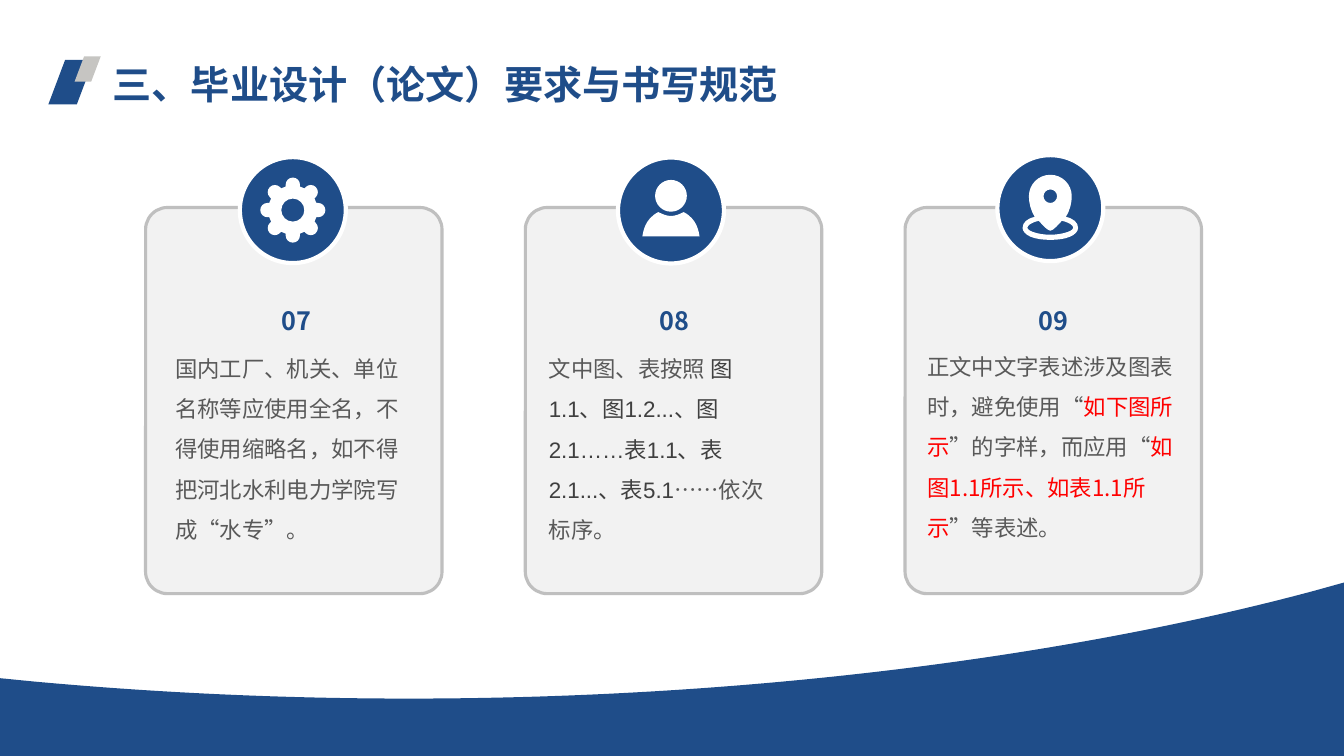
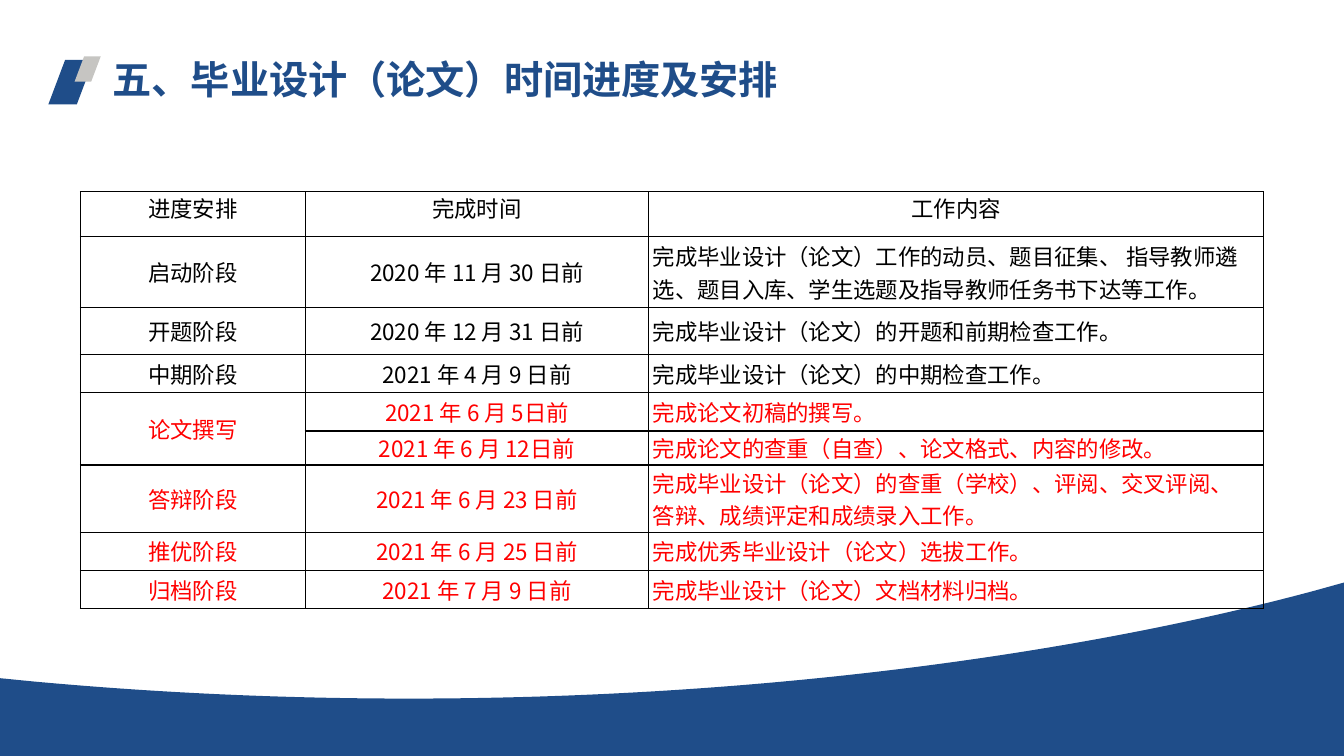
from math import cos, pi, sin, sqrt

from lxml.etree import SubElement
from pptx import Presentation
from pptx.dml.color import RGBColor
from pptx.enum.shapes import MSO_SHAPE as SHAPE
from pptx.enum.text import MSO_ANCHOR as ANCHOR, PP_ALIGN as ALIGN
from pptx.oxml.ns import qn
from pptx.util import Cm, Pt

# Shared style
BLUE = RGBColor(0x1F, 0x4D, 0x89)
SILVER = RGBColor(0xC6, 0xC5, 0xC2)
WHITE = RGBColor(0xFF, 0xFF, 0xFF)
BLACK = RGBColor(0x00, 0x00, 0x00)
RED = RGBColor(0xFF, 0x00, 0x00)
BODY_GREY = RGBColor(0x59, 0x59, 0x59)
DARK_GREY = RGBColor(0x40, 0x40, 0x40)
CARD_FILL = RGBColor(0xF2, 0xF2, 0xF2)
CARD_EDGE = RGBColor(0xBF, 0xBF, 0xBF)
CJK, LATIN = "Noto Sans CJK SC", "Arial"
SLIDE_W, SLIDE_H = 33.87, 19.05

# Cards and their numbers: left edge of the first, step to the next, sizes
CARD_X, CARD_STEP, CARD_Y, CARD_W, CARD_H = 3.67, 9.57, 5.23, 7.47, 9.73
NUMBER_X, NUMBER_STEP, NUMBER_W = 5.79, 9.54, 3.35
DISC = 2.67

# Schedule table
COLUMN_WIDTHS = [5.66, 8.66, 15.49]
SCHEDULE = [  # row height, stage, deadline, work, text colour
    (1.14, "进度安排", "完成时间", "工作内容", BLACK),
    (1.78, "启动阶段", "2020 年 11 月 30 日前",
     "完成毕业设计（论文）工作的动员、题目征集、 指导教师遴选、题目入库、"
     "学生选题及指导教师任务书下达等工作。", BLACK),
    (1.19, "开题阶段", "2020 年 12 月 31 日前",
     "完成毕业设计（论文）的开题和前期检查工作。", BLACK),
    (0.96, "中期阶段", "2021 年 4 月 9 日前",
     "完成毕业设计（论文）的中期检查工作。", BLACK),
    (0.96, "论文撰写", "2021 年 6 月 5日前", "完成论文初稿的撰写。", RED),
    (0.86, "", "2021 年 6 月 12日前",
     "完成论文的查重（自查）、论文格式、内容的修改。", RED),
    (1.69, "答辩阶段", "2021 年 6 月 23 日前",
     "完成毕业设计（论文）的查重（学校）、评阅、交叉评阅、 "
     "答辩、成绩评定和成绩录入工作。", RED),
    (0.96, "推优阶段", "2021 年 6 月 25 日前",
     "完成优秀毕业设计（论文）选拔工作。", RED),
    (0.96, "归档阶段", "2021 年 7 月 9 日前",
     "完成毕业设计（论文）文档材料归档。", RED),
]
WRITING_ROW = 4  # its stage cell covers two rows


# Outlines in centimetres: a start point, then steps that hold
# one point (straight line) or three points (cubic curve)
def mirrored(start, steps):
    """Close a right half with its reflection in x = 0."""
    nodes = [start] + [step[-1] for step in steps]
    left = []
    for index in reversed(range(len(steps))):
        back = [*reversed(steps[index][:-1]), nodes[index]]
        left.append([(-x, y) for x, y in back])
    if nodes[-1][0]:
        left.insert(0, [(-nodes[-1][0], nodes[-1][1])])
    return start, [*steps, *left]


def oval(y, rx, ry):
    """Ellipse centred on x = 0."""
    kx, ky = 0.55 * rx, 0.55 * ry
    return mirrored((0, y - ry), [
        [(kx, y - ry), (rx, y - ky), (rx, y)],
        [(rx, y + ky), (kx, y + ry), (0, y + ry)]])


def add_outline(slide, contours, color, x=0, y=0):
    def place(point):
        return Cm(x + point[0]), Cm(y + point[1])

    builder = slide.shapes.build_freeform(*place(contours[0][0]))
    for index, (start, steps) in enumerate(contours):
        if index:
            builder.move_to(*place(start))
        points = [place(point) for step in steps for point in step]
        builder.add_line_segments(points, close=True)
    shape = builder.convert_to_shape()
    lines = iter(list(shape._element.iter(qn("a:lnTo"))))
    for step in (step for _, steps in contours for step in steps):
        parts = [next(lines) for _ in step]
        if len(parts) == 3:
            bend = parts[0].makeelement(qn("a:cubicBezTo"), {})
            parts[0].addprevious(bend)
            for part in parts:
                bend.append(part[0])
                part.getparent().remove(part)
    paint(shape, color)


# Shapes and text
def paint(shape, fill, edge=None, width=0):
    shape.shadow.inherit = False
    shape.fill.solid()
    shape.fill.fore_color.rgb = fill
    if edge is None:
        shape.line.fill.background()
    else:
        shape.line.color.rgb = edge
        shape.line.width = Pt(width)


def add_preset(slide, kind, box, fill, edge=None, width=0, adjust=None):
    shape = slide.shapes.add_shape(kind, *map(Cm, box))
    paint(shape, fill, edge, width)
    if adjust is not None:
        shape.adjustments[0] = adjust


def add_run(paragraph, text, size, color, bold=False, latin=CJK):
    run = paragraph.add_run()
    run.text = text
    run.font.size = Pt(size)
    run.font.bold = bold
    run.font.color.rgb = color
    run.font.name = latin
    SubElement(run.font._element, qn("a:ea"), typeface=CJK)


def add_text_box(slide, box, spacing, align=ALIGN.LEFT, anchor=ANCHOR.TOP,
                 inset=True):
    """Add a text box and return its paragraph."""
    frame = slide.shapes.add_textbox(*map(Cm, box)).text_frame
    frame.word_wrap = True
    frame.vertical_anchor = anchor
    if not inset:
        frame.margin_left = frame.margin_right = 0
        frame.margin_top = frame.margin_bottom = 0
    paragraph = frame.paragraphs[0]
    paragraph.line_spacing = spacing
    paragraph.alignment = align
    return paragraph


def add_base(deck, title, title_y):
    """Blank slide with wave, corner mark and title."""
    slide = deck.slides.add_slide(deck.slide_layouts[6])
    wave = ((SLIDE_W, 14.68), [
        [(33.15, 14.88)],
        [(25.5, 16.94), (13.72, 18.36), (0.81, 17.17)],
        [(0, 17.09)], [(0, SLIDE_H)], [(SLIDE_W, SLIDE_H)]])
    add_outline(slide, [wave], BLUE)
    for box, color in (((1.22, 1.51, 1.14, 1.12), BLUE),
                       ((1.88, 1.42, 0.66, 0.64), SILVER)):
        add_preset(slide, SHAPE.PARALLELOGRAM, box, color, adjust=0.377)
    heading = add_text_box(slide, (2.59, title_y, 18.08, 1.52), 0.9,
                           anchor=ANCHOR.MIDDLE)
    add_run(heading, title, 28, BLUE, bold=True)
    return slide


# Icons, centred on x, y
def add_gear(slide, x, y, teeth=8):
    body, reach, half = 0.62, 0.64, 0.18
    tip, bend = reach + half, 0.55 * half
    base = sqrt(body ** 2 - half ** 2)
    tooth = [[(base, -half)], [(reach, -half)],
             [(reach + bend, -half), (tip, -bend), (tip, 0)],
             [(tip, bend), (reach + bend, half), (reach, half)],
             [(base, half)]]
    rim = []
    for index in range(teeth):
        c, s = cos(2 * pi * index / teeth), sin(2 * pi * index / teeth)
        rim += [[(px * c - py * s, px * s + py * c) for px, py in step]
                for step in tooth]
    add_outline(slide, [(rim[0][0], rim[1:]), oval(0, 0.29, 0.29)], WHITE, x, y)


def add_person(slide, x, y):
    shoulders = mirrored((0, 0.14), [
        [(0.11, 0.14), (0.22, 0.09), (0.32, 0.04)],
        [(0.67, 0.22), (0.7, 0.55), (0.72, 0.65)]])
    add_outline(slide, [oval(-0.37, 0.4, 0.4), shoulders], WHITE, x, y)


def add_pin(slide, x, y):
    outside = mirrored((0, -0.84), [
        [(0.3, -0.84), (0.54, -0.6), (0.54, -0.3)],
        [(0.54, -0.14), (0.5, 0.05), (0.39, 0.22)],
        [(0.58, 0.26), (0.7, 0.36), (0.7, 0.5)],
        [(0.7, 0.58), (0.62, 0.67), (0.5, 0.72)],
        [(0.36, 0.78), (0.18, 0.8), (0, 0.8)]])
    ring_gap = mirrored((0, 0.67), [
        [(0.15, 0.67), (0.3, 0.65), (0.44, 0.6)],
        [(0.52, 0.57), (0.58, 0.53), (0.58, 0.5)],
        [(0.58, 0.43), (0.47, 0.36), (0.29, 0.32)],
        [(0.2, 0.42), (0.08, 0.56), (0, 0.57)]])
    add_outline(slide, [outside, oval(-0.3, 0.17, 0.17), ring_gap], WHITE, x, y)


def add_card(slide, index, number, add_icon, icon_x, disc_y, body_x, body_w, runs):
    add_preset(slide, SHAPE.ROUNDED_RECTANGLE,
               (CARD_X + index * CARD_STEP, CARD_Y, CARD_W, CARD_H),
               CARD_FILL, CARD_EDGE, 2.25, adjust=0.074)
    add_preset(slide, SHAPE.OVAL, (icon_x - DISC / 2, disc_y, DISC, DISC),
               BLUE, WHITE, 3)
    add_icon(slide, icon_x, disc_y + DISC / 2)
    label = add_text_box(
        slide, (NUMBER_X + index * NUMBER_STEP, 7.53, NUMBER_W, 0.84), 1.2,
        ALIGN.CENTER, inset=False)
    add_run(label, number, 18, BLUE, bold=True)
    body = add_text_box(slide, (body_x, disc_y + 4.52, body_w, 5.26), 1.5)
    for text, color, latin in runs:
        add_run(body, text, 16, color, latin=latin)


# Table
def set_borders(cell):
    properties = cell._tc.get_or_add_tcPr()
    for position, side in enumerate(("lnL", "lnR", "lnT", "lnB")):
        line = properties.makeelement(qn(f"a:{side}"), {"w": str(Pt(1))})
        fill = SubElement(line, qn("a:solidFill"))
        SubElement(fill, qn("a:srgbClr"), val=str(BLACK))
        properties.insert(position, line)


def fill_cell(cell, text, color, align, anchor):
    cell.fill.background()
    cell.margin_left = cell.margin_right = Cm(0.1)
    cell.margin_top = cell.margin_bottom = 0
    cell.vertical_anchor = anchor
    set_borders(cell)
    paragraph = cell.text_frame.paragraphs[0]
    paragraph.alignment = align
    if text:
        add_run(paragraph, text, 16, color)


def add_schedule(slide):
    heights = [row[0] for row in SCHEDULE]
    table = slide.shapes.add_table(
        len(SCHEDULE), len(COLUMN_WIDTHS), Cm(2.03), Cm(4.83),
        Cm(sum(COLUMN_WIDTHS)), Cm(sum(heights))).table
    table.first_row = table.horz_banding = False
    for column, width in zip(table.columns, COLUMN_WIDTHS):
        column.width = Cm(width)
    for r, (height, *texts, color) in enumerate(SCHEDULE):
        table.rows[r].height = Cm(height)
        for c, text in enumerate(texts):
            align = ALIGN.LEFT if r and c == 2 else ALIGN.CENTER
            anchor = ANCHOR.MIDDLE if r else ANCHOR.TOP
            fill_cell(table.cell(r, c), text, color, align, anchor)
    table.cell(WRITING_ROW, 0).merge(table.cell(WRITING_ROW + 1, 0))


# Slides
def add_rules_slide(deck):
    slide = add_base(deck, "三、毕业设计（论文）要求与书写规范", 1.42)
    add_card(slide, 0, "07", add_gear, 7.38, 3.96, 4.17, 6.53, [
        ("国内工厂、机关、单位名称等应使用全名，不得使用缩略名，"
         "如不得把河北水利电力学院写成“水专”。", BODY_GREY, CJK)])
    add_card(slide, 1, "08", add_person, 16.91, 3.97, 13.58, 6.45, [
        ("文中图、表按照 ", BODY_GREY, CJK),
        ("图1.1、图1.2...、图2.1……表1.1、表2.1...、表5.1", DARK_GREY, LATIN),
        ("……依次标序。", BODY_GREY, CJK)])
    add_card(slide, 2, "09", add_pin, 26.47, 3.91, 23.12, 6.76, [
        ("正文中文字表述涉及图表时，避免使用“", BODY_GREY, CJK),
        ("如下图所示", RED, CJK),
        ("”的字样，而应用“", BODY_GREY, CJK),
        ("如图1.1所示、如表1.1所示", RED, CJK),
        ("”等表述。", BODY_GREY, CJK)])


def add_schedule_slide(deck):
    slide = add_base(deck, "五、毕业设计（论文）时间进度及安排", 1.3)
    add_schedule(slide)


def main():
    deck = Presentation()
    deck.slide_width, deck.slide_height = Cm(SLIDE_W), Cm(SLIDE_H)
    add_rules_slide(deck)
    add_schedule_slide(deck)
    deck.save("out.pptx")


if __name__ == "__main__":
    main()
